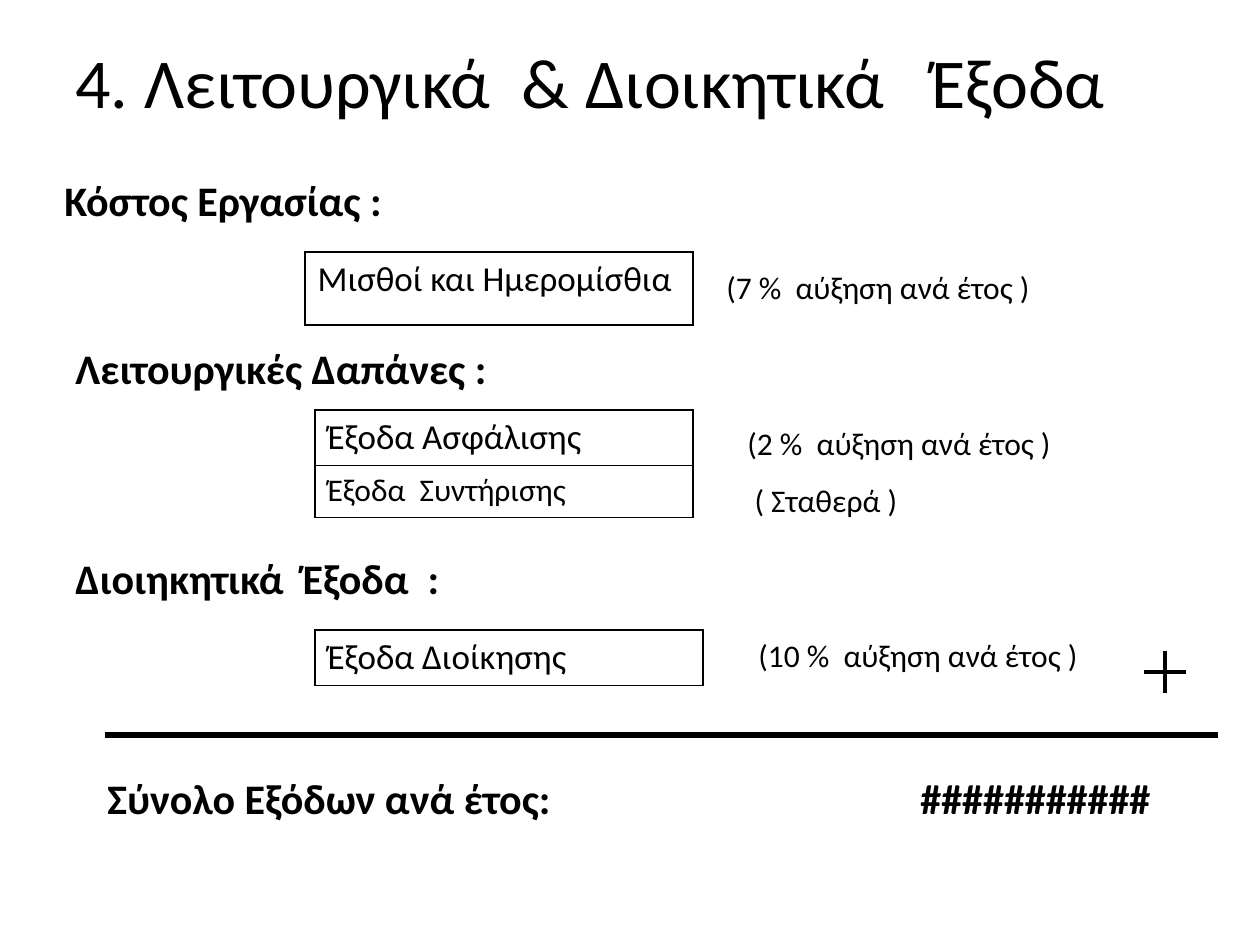
import pptx
import pptx.dml.color
import pptx.enum.shapes
import pptx.enum.text
import pptx.oxml
import pptx.oxml.ns
import pptx.util
from dataclasses import dataclass
from lxml import etree

PX = 914400 / 126


@dataclass(frozen=True)
class Theme:
    font: str = "Calibri"
    ink: str = "000000"
    title: int = 40
    heading: int = 24
    item: int = 20
    note: int = 18
    border: float = 1
    total_rule: float = 3
    plus_sign: float = 2.25


THEME = Theme()


def px(length):
    return pptx.util.Emu(round(length * PX))


def ink():
    return pptx.dml.color.RGBColor.from_string(THEME.ink)


def style(paragraph, size, bold=False):
    font = paragraph.font
    font.name = THEME.font
    font.size = pptx.util.Pt(size)
    font.bold = bold
    font.color.rgb = ink()


def add_text(slide, box, text, size, bold=False, spacing=None):
    frame = slide.shapes.add_textbox(*map(px, box)).text_frame
    frame.word_wrap = True
    frame.auto_size = pptx.enum.text.MSO_AUTO_SIZE.NONE
    frame.text = text
    for paragraph in frame.paragraphs:
        style(paragraph, size, bold)
        if spacing:
            paragraph.line_spacing = spacing
    return frame


def add_tab_stop(paragraph, position):
    properties = paragraph._p.get_or_add_pPr()
    stops = etree.Element(pptx.oxml.ns.qn("a:tabLst"))
    etree.SubElement(stops, pptx.oxml.ns.qn("a:tab"), pos=str(px(position)), algn="l")
    properties.insert(0, stops)


def add_border(cell):
    properties = cell._tc.get_or_add_tcPr()
    width = pptx.util.Pt(THEME.border)
    for index, side in enumerate(("lnL", "lnR", "lnT", "lnB")):
        border = pptx.oxml.parse_xml(
            f'<a:{side} {pptx.oxml.ns.nsdecls("a")} w="{width}"><a:solidFill>'
            f'<a:srgbClr val="{THEME.ink}"/></a:solidFill></a:{side}>'
        )
        properties.insert(index, border)


def add_expenses(slide, left, top, width, rows):
    height = sum(row_height for _, _, row_height in rows)
    frame = slide.shapes.add_table(len(rows), 1, *map(px, (left, top, width, height)))
    table = frame.table
    table.first_row = False
    table.horz_banding = False
    for index, (expense, size, row_height) in enumerate(rows):
        table.rows[index].height = px(row_height)
        cell = table.cell(index, 0)
        cell.text = expense
        cell.fill.background()
        style(cell.text_frame.paragraphs[0], size)
        add_border(cell)


def add_rule(slide, start, end, weight):
    rule = slide.shapes.add_connector(
        pptx.enum.shapes.MSO_CONNECTOR.STRAIGHT, *map(px, start + end)
    )
    rule.line.color.rgb = ink()
    rule.line.width = pptx.util.Pt(weight)
    etree.SubElement(rule._element.spPr, pptx.oxml.ns.qn("a:effectLst"))


def add_plus(slide, x, y, arm):
    add_rule(slide, (x, y - arm), (x, y + arm), THEME.plus_sign)
    add_rule(slide, (x - arm, y), (x + arm, y), THEME.plus_sign)


def main():
    presentation = pptx.Presentation()
    presentation.slide_width = px(1260)
    presentation.slide_height = px(945)
    slide = presentation.slides.add_slide(presentation.slide_layouts[6])

    add_text(slide, (63, 32, 1092, 97), "4. Λειτουργικά  & Διοικητικά   Έξοδα", THEME.title)

    add_text(slide, (52, 168, 557, 102), "Κόστος Εργασίας :", THEME.heading, True)
    add_expenses(slide, 305, 252, 388, [("Μισθοί και Ημερομίσθια", THEME.item, 73)])
    add_text(slide, (714, 262, 378, 50), "(7 %  αύξηση ανά έτος )", THEME.note)

    add_text(slide, (63, 336, 462, 63), "Λειτουργικές Δαπάνες :", THEME.heading, True)
    add_expenses(slide, 315, 410, 378, [
        ("Έξοδα Ασφάλισης", THEME.item, 54),
        ("Έξοδα  Συντήρισης", THEME.note, 52),
    ])
    add_text(slide, (735, 399, 420, 165), "(2 %  αύξηση ανά έτος )\n ( Σταθερά )",
             THEME.note, spacing=1.5)

    add_text(slide, (63, 546, 451, 63), "Διοιηκητικά  Έξοδα  :", THEME.heading, True)
    add_expenses(slide, 315, 630, 388, [("Έξοδα Διοίκησης", THEME.item, 54)])
    add_text(slide, (746, 630, 504, 89), "(10 %  αύξηση ανά έτος )", THEME.note)

    add_rule(slide, (105, 735), (1218, 735), THEME.total_rule)
    add_plus(slide, 1165, 672, 21)
    total = add_text(slide, (95, 766, 1113, 102), "Σύνολο Εξόδων ανά έτος:\t###########",
                     THEME.heading, True)
    add_tab_stop(total.paragraphs[0], 813)

    presentation.save("out.pptx")


if __name__ == "__main__":
    main()
